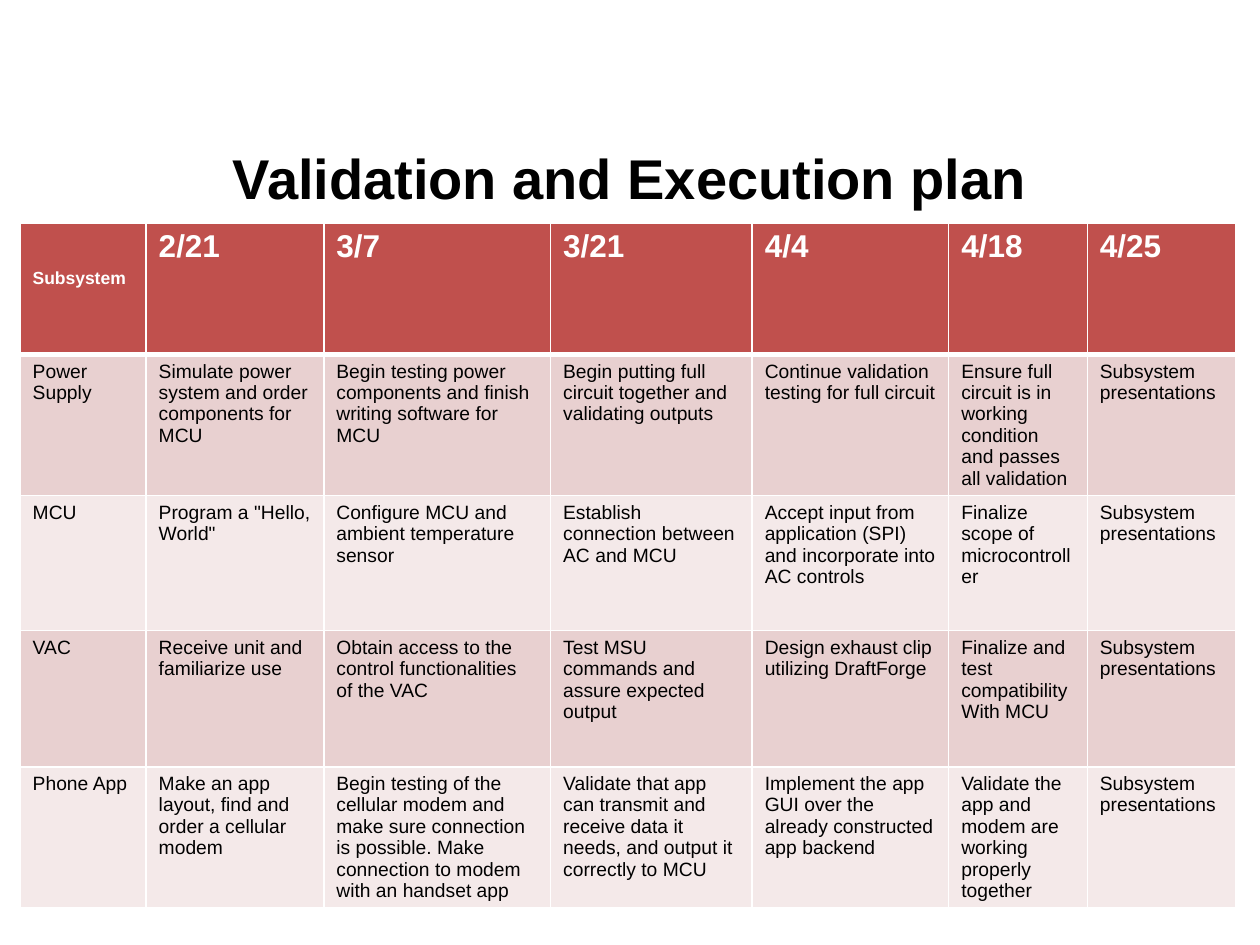
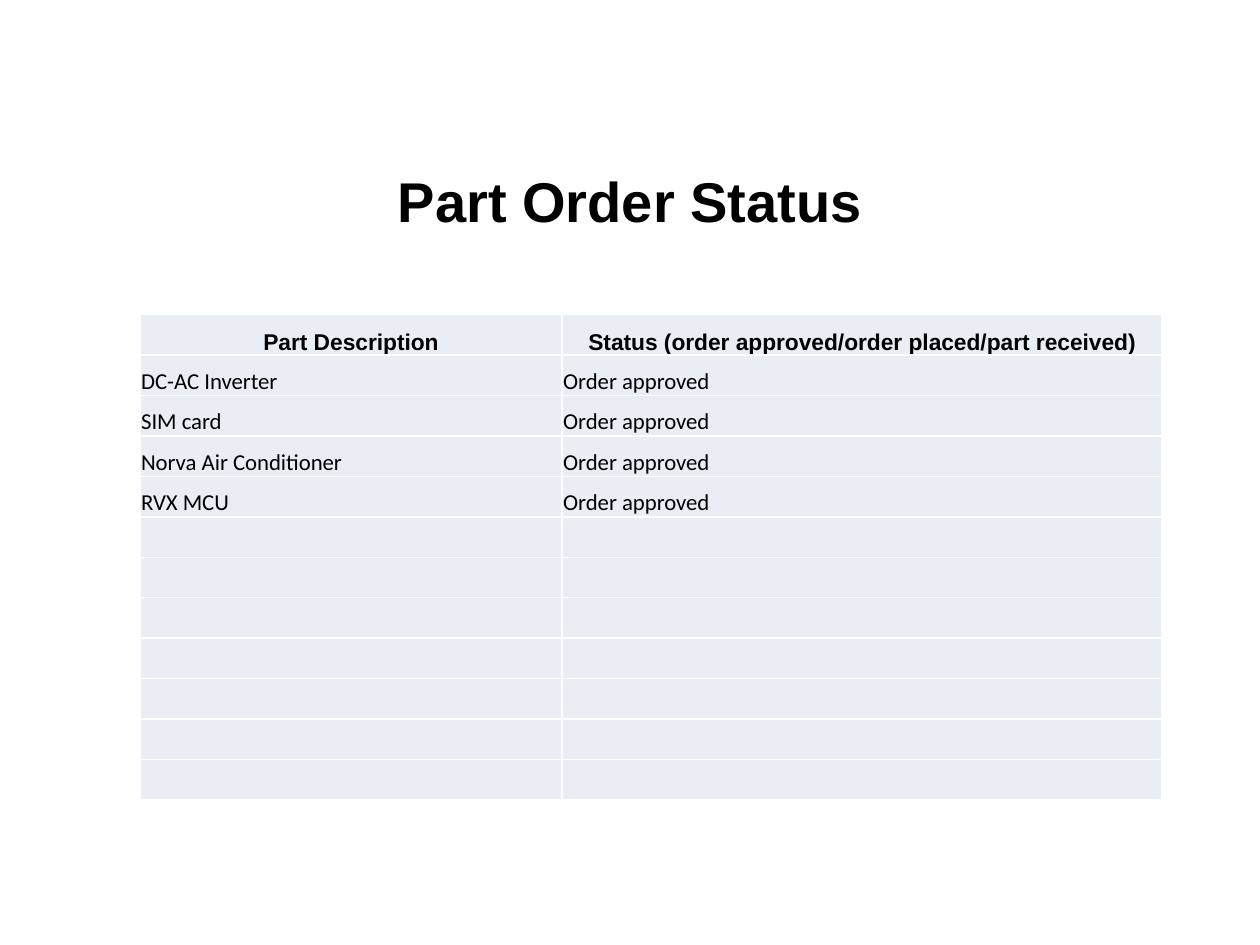
from lxml.etree import SubElement
from pptx import Presentation
from pptx.dml.color import RGBColor
from pptx.enum.text import MSO_ANCHOR, PP_ALIGN
from pptx.oxml.ns import qn
from pptx.util import Inches, Pt

COLOURS = {
    "text": "000000",
    "white": "FFFFFF",
    "header": "C0504D",
    "band_dark": "E8D0D0",
    "band_light": "F4E9E9",
    "order_row": "E9EDF4",
}

presentation = Presentation()
presentation.slide_width = Inches(10)
presentation.slide_height = Inches(7.5)
WIDTH = presentation.slide_width
HEIGHT = presentation.slide_height


def write_text(text_frame, text, size=11, font="Arial", bold=False, colour="text", align=PP_ALIGN.LEFT):
    text_frame.text = text
    for paragraph in text_frame.paragraphs:
        paragraph.alignment = align
        for run in paragraph.runs:
            run.font.size = Pt(size)
            run.font.name = font
            run.font.bold = bold
            run.font.color.rgb = RGBColor.from_string(COLOURS[colour])


def add_table_slide(title, title_top, left, top, column_shares, row_shares, header_line=1):
    slide = presentation.slides.add_slide(presentation.slide_layouts[5])
    heading = slide.shapes.title
    heading.left, heading.top = int(WIDTH * 0.05), int(HEIGHT * title_top)
    heading.width, heading.height = int(WIDTH * 0.9), int(HEIGHT * 0.117)
    heading.text_frame.vertical_anchor = MSO_ANCHOR.MIDDLE
    write_text(heading.text_frame, title, size=32, bold=True, align=PP_ALIGN.CENTER)

    table = slide.shapes.add_table(
        len(row_shares), len(column_shares),
        int(WIDTH * left), int(HEIGHT * top),
        int(WIDTH * sum(column_shares)), int(HEIGHT * sum(row_shares)),
    ).table
    for column, share in zip(table.columns, column_shares):
        column.width = int(WIDTH * share)
    for row_index, (row, share) in enumerate(zip(table.rows, row_shares)):
        row.height = int(HEIGHT * share)
        line_widths = {
            "a:lnL": 1,
            "a:lnR": 1,
            "a:lnT": header_line if row_index == 1 else 1,
            "a:lnB": header_line if row_index == 0 else 1,
        }
        for cell in row.cells:
            properties = cell._tc.get_or_add_tcPr()
            for side, line_width in line_widths.items():
                line = SubElement(properties, qn(side), w=str(Pt(line_width)))
                fill = SubElement(line, qn("a:solidFill"))
                SubElement(fill, qn("a:srgbClr"), val=COLOURS["white"])
    return table


milestones = ["Subsystem", "2/21", "3/7", "3/21", "4/4", "4/18", "4/25"]
plans = [
    ["Power Supply",
     "Simulate power system and order components for MCU",
     "Begin testing power components and finish writing software for MCU",
     "Begin putting full circuit together and validating outputs",
     "Continue validation testing for full circuit",
     "Ensure full circuit is in working condition and passes all validation"],
    ["MCU",
     'Program a "Hello, World"',
     "Configure MCU and ambient temperature sensor",
     "Establish connection between AC and MCU",
     "Accept input from application (SPI) and incorporate into AC controls",
     "Finalize scope of microcontroller"],
    ["VAC",
     "Receive unit and familiarize use",
     "Obtain access to the control functionalities of the VAC",
     "Test MSU commands and assure expected output",
     "Design exhaust clip utilizing DraftForge",
     "Finalize and test compatibility\nWith MCU"],
    ["Phone App",
     "Make an app layout, find and order a cellular modem",
     "Begin testing of the cellular modem and make sure connection is possible. "
     "Make connection to modem with an handset app",
     "Validate that app can transmit and receive data it needs, and output it correctly to MCU",
     "Implement the app GUI over the already constructed app backend",
     "Validate the app and modem are working properly together"],
]

plan_table = add_table_slide(
    "Validation and Execution plan", 0.129, 0.016, 0.236,
    [0.1, 0.141, 0.18, 0.16, 0.156, 0.11, 0.118],
    [0.139, 0.147, 0.143, 0.144, 0.147],
    header_line=3,
)
for cell, milestone in zip(plan_table.rows[0].cells, milestones):
    cell.fill.solid()
    cell.fill.fore_color.rgb = RGBColor.from_string(COLOURS["header"])
    write_text(cell.text_frame, milestone, size=18, bold=True, colour="white")
subsystem_cell = plan_table.cell(0, 0)
subsystem_cell.margin_top = int(HEIGHT * 0.048)
write_text(subsystem_cell.text_frame, milestones[0], size=10, bold=True, colour="white")

for row_index, plan in enumerate(plans, start=1):
    band = "band_dark" if row_index % 2 else "band_light"
    for cell, task in zip(plan_table.rows[row_index].cells, plan + ["Subsystem presentations"]):
        cell.fill.solid()
        cell.fill.fore_color.rgb = RGBColor.from_string(COLOURS[band])
        write_text(cell.text_frame, task)

order_headings = ["Part Description", "Status (order approved/order placed/part received)"]
parts = ["DC-AC Inverter", "SIM card", "Norva Air Conditioner", "RVX MCU"]
order_rows = [order_headings] + [[part, "Order approved"] for part in parts]

order_table = add_table_slide(
    "Part Order Status", 0.153, 0.111, 0.333, [0.335, 0.476], [0.0428] * 12,
)
for cell in order_table.iter_cells():
    cell.fill.solid()
    cell.fill.fore_color.rgb = RGBColor.from_string(COLOURS["order_row"])
    cell.vertical_anchor = MSO_ANCHOR.BOTTOM
    cell.margin_left = cell.margin_right = cell.margin_top = int(WIDTH * 0.001)
    cell.margin_bottom = 0

for row_index, order_row in enumerate(order_rows):
    is_heading = row_index == 0
    for cell, text in zip(order_table.rows[row_index].cells, order_row):
        write_text(
            cell.text_frame, text, size=13, bold=is_heading,
            font="Arial" if is_heading else "Calibri",
            align=PP_ALIGN.CENTER if is_heading else PP_ALIGN.LEFT,
        )

presentation.save("out.pptx")
